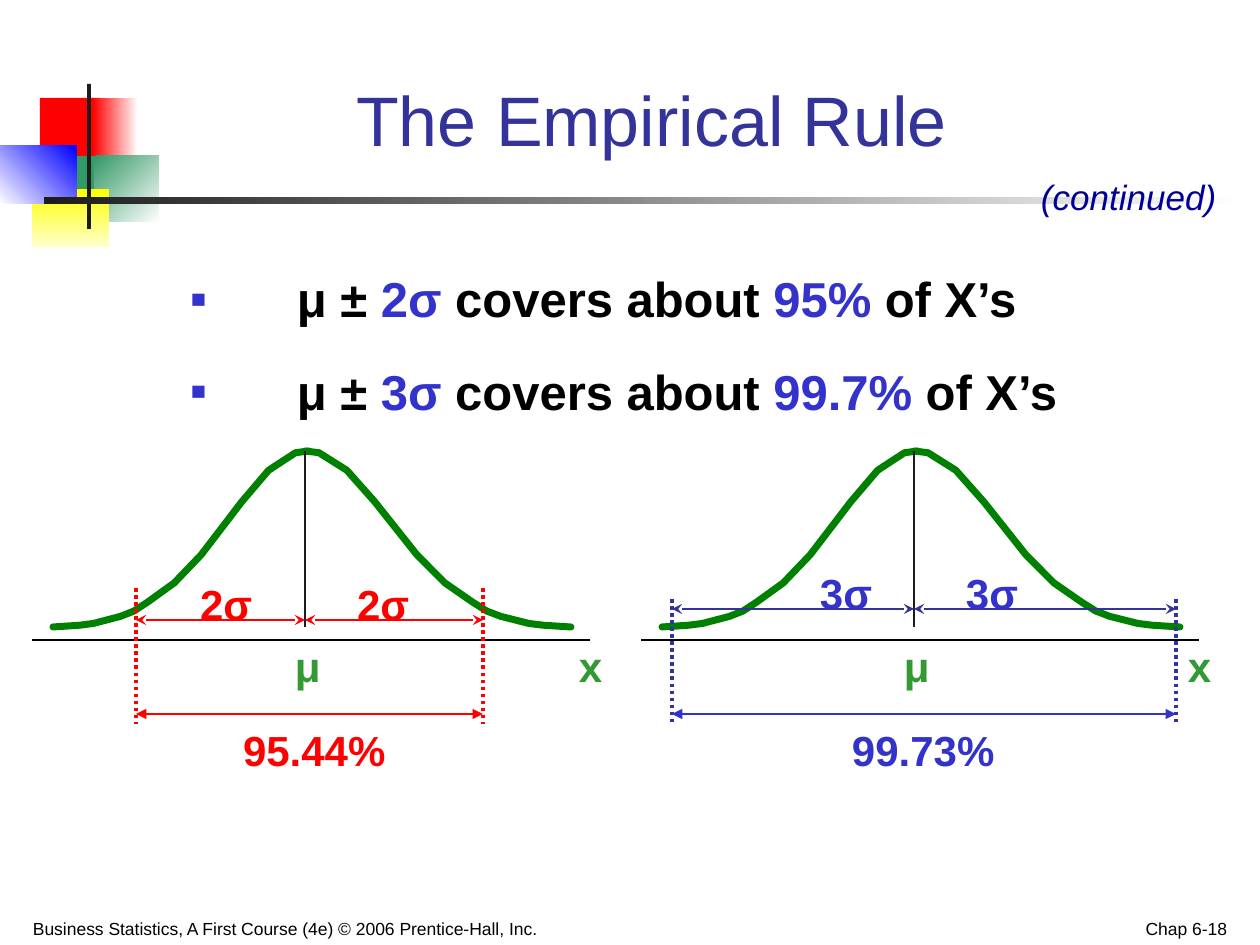
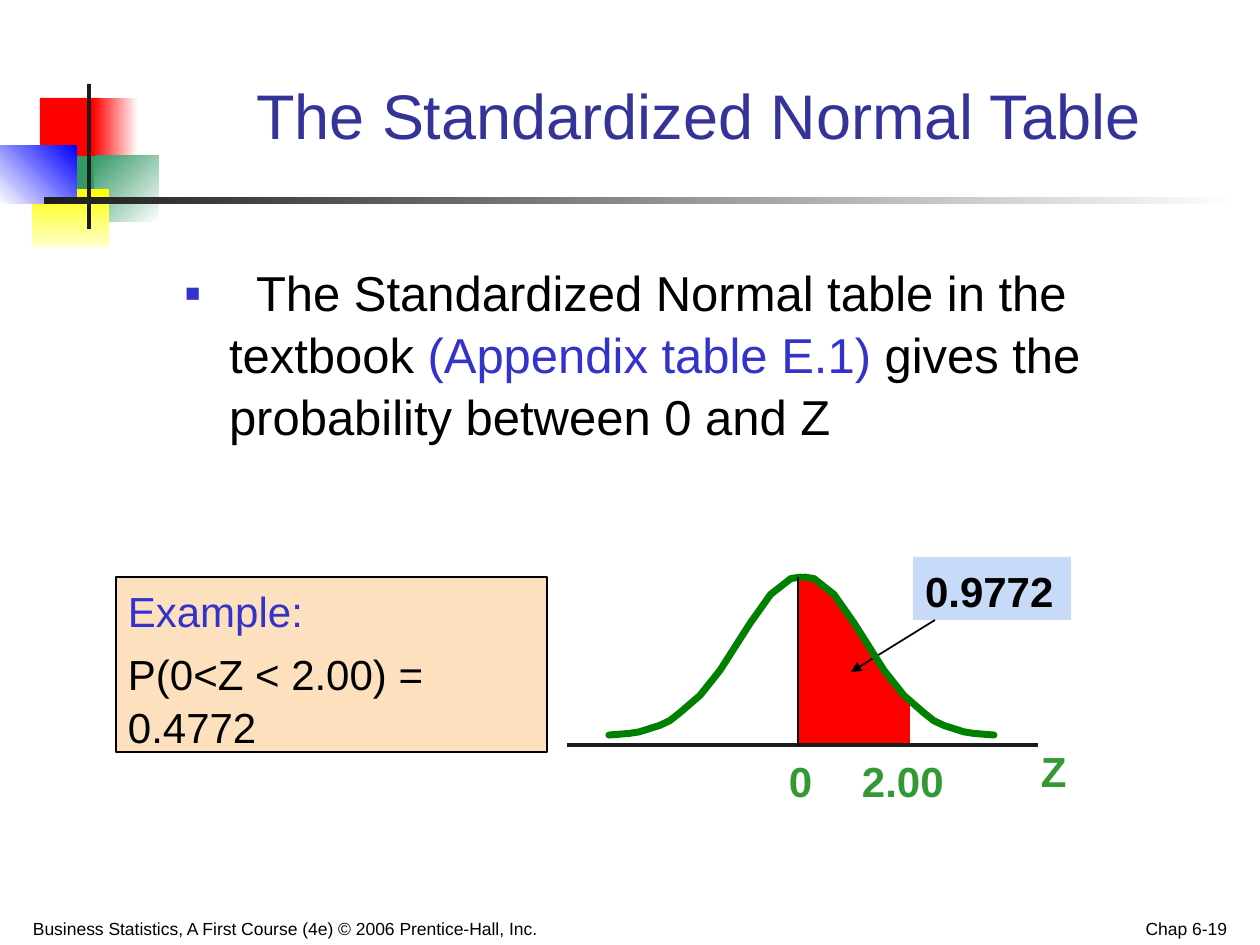
from lxml.etree import SubElement
from pptx import Presentation
from pptx.dml.color import RGBColor
from pptx.enum.dml import MSO_LINE
from pptx.enum.shapes import MSO_CONNECTOR, MSO_SHAPE
from pptx.enum.text import MSO_ANCHOR, MSO_AUTO_SIZE, PP_ALIGN
from pptx.oxml.ns import qn
from pptx.util import Emu, Pt

SCALE = 914400 / 126
FONT = "Arial"
LINE_SPACING = 1.05
BLACK, INK, RED = "000000", "1C1C1C", "FF0000"
TITLE_BLUE, BLUE = "333399", "3333CC"
LABEL_GREEN, CURVE_GREEN = "339933", "008000"

FOOTER = "Business Statistics, A First Course (4e) © 2006 Prentice-Hall, Inc."

# Corner emblem and title rule: left, top, width, height, colours, clockwise angle
EMBLEM = [
    (40, 98, 60, 66, [RED], 0),
    (93, 98, 45, 66, [RED, "FFFFFF"], 0),
    (94, 156, 65, 66, ["339966", "FFFFFF"], 45),
    (54, 156, 40, 66, ["339966"], 0),
    (32, 189, 77, 58, ["FFFF00", "FFFFCC"], 90),
    (0, 146, 77, 58, ["FFFFFF", "0000FF"], 315),
    (87, 84, 4, 145, [INK], 0),
    (44, 197, 1198, 7, [INK, "FFFFFF"], 0),
]

# Half a bell from tail to peak: (steps of 19 across, depth below the peak)
HALF_BELL = [
    (0, 1), (2, 0.99), (3, 0.98), (4, 0.96), (5, 0.94), (6, 0.91), (7, 0.86),
    (9, 0.75), (11, 0.59), (13, 0.39), (14, 0.29), (15, 0.2), (16, 0.11),
    (17, 0.06), (18, 0.01), (19, 0),
]


def px(length):
    return Emu(round(length * SCALE))


def rgb(color):
    return RGBColor.from_string(color)


# Text
def write_spans(para, spans, size, bold=False, italic=False):
    for text, color in spans:
        span = para.add_run()
        span.text = text
        font = span.font
        font.name, font.size = FONT, Pt(size)
        font.bold, font.italic = bold, italic
        font.color.rgb = rgb(color)


def set_frame(box, anchor=MSO_ANCHOR.TOP, side=12):
    frame = box.text_frame
    frame.word_wrap = True
    frame.auto_size = MSO_AUTO_SIZE.NONE
    frame.vertical_anchor = anchor
    frame.margin_left = frame.margin_right = px(side)
    frame.margin_top = frame.margin_bottom = px(6)
    return frame


def fill_frame(frame, paragraphs, size, gap=0, align=PP_ALIGN.LEFT,
               spacing=LINE_SPACING, **style):
    for index, spans in enumerate(paragraphs):
        para = frame.add_paragraph() if index else frame.paragraphs[0]
        para.alignment = align
        para.line_spacing = spacing
        para.space_before = Pt(gap if index else 0)
        write_spans(para, spans, size, **style)


def place(box, left, top, width, height):
    box.left, box.top = px(left), px(top)
    box.width, box.height = px(width), px(height)


def add_text(page, paragraphs, left, top, width, height, size,
             anchor=MSO_ANCHOR.TOP, **style):
    box = page.shapes.add_textbox(px(left), px(top), px(width), px(height))
    fill_frame(set_frame(box, anchor), paragraphs, size, **style)
    return box


def add_label(page, text, left, top, width, color):
    return add_text(page, [[(text, color)]], left, top, width, 63, 24, bold=True)


def set_title(page, text, area, size, spacing):
    title = page.shapes.title
    place(title, *area)
    fill_frame(set_frame(title, MSO_ANCHOR.BOTTOM, 11), [[(text, TITLE_BLUE)]],
               size, align=PP_ALIGN.CENTER, spacing=spacing)


def add_bullet(para, margin, hanging, stops):
    props = para._p.get_or_add_pPr()
    props.set("marL", str(px(margin)))
    props.set("indent", str(-px(hanging)))
    SubElement(SubElement(props, qn("a:buClr")), qn("a:srgbClr"), val=BLUE)
    SubElement(props, qn("a:buChar"), char="▪")
    if stops:
        tabs = SubElement(props, qn("a:tabLst"))
        for stop in stops:
            SubElement(tabs, qn("a:tab"), pos=str(px(stop)), algn="l")


def set_bullets(page, items, area, margin, hanging, stops=(), **style):
    body = page.placeholders[1]
    place(body, *area)
    frame = set_frame(body, side=11)
    fill_frame(frame, items, 28, **style)
    for para in frame.paragraphs:
        add_bullet(para, margin, hanging, stops)


# Shapes and lines
def add_block(page, left, top, width, height, colors, angle):
    block = page.shapes.add_shape(
        MSO_SHAPE.RECTANGLE, px(left), px(top), px(width), px(height))
    block.shadow.inherit = False
    block.line.fill.background()
    if len(colors) == 1:
        block.fill.solid()
        block.fill.fore_color.rgb = rgb(colors[0])
        return
    block.fill.gradient()
    block.fill.gradient_angle = (360 - angle) % 360
    for position, (stop, color) in enumerate(zip(block.fill.gradient_stops, colors)):
        stop.position = position
        stop.color.rgb = rgb(color)


def add_line(page, start, end, color, width, dash=None, head=None, tail=None):
    line = page.shapes.add_connector(
        MSO_CONNECTOR.STRAIGHT, px(start[0]), px(start[1]), px(end[0]), px(end[1]))
    line.line.color.rgb = rgb(color)
    line.line.width = Pt(width)
    if dash:
        line.line.dash_style = dash
    props = line._element.spPr
    outline = props.find(qn("a:ln"))
    for tag, kind in (("a:headEnd", head), ("a:tailEnd", tail)):
        if kind:
            SubElement(outline, qn(tag), type=kind)
    SubElement(props, qn("a:effectLst"))


def add_outline(page, points, close=False):
    (left, top), *rest = [(px(x), px(y)) for x, y in points]
    builder = page.shapes.build_freeform(left, top)
    builder.add_line_segments(rest, close=close)
    outline = builder.convert_to_shape()
    outline.shadow.inherit = False
    return outline


def half_bell(tail, peak, top, height):
    return [(tail + (peak - tail) * step / 19, top + height * depth)
            for step, depth in HALF_BELL]


def add_curve(page, points):
    curve = add_outline(page, points)
    curve.fill.background()
    curve.line.color.rgb = rgb(CURVE_GREEN)
    curve.line.width = Pt(4)
    curve._element.spPr.find(qn("a:ln")).set("cap", "rnd")


# Shared slide frame
def add_page(deck, number):
    page = deck.slides.add_slide(deck.slide_layouts[1])
    for block in EMBLEM:
        add_block(page, *block)
    add_text(page, [[(FOOTER, BLACK)]], 21, 901, 640, 44, 10, MSO_ANCHOR.BOTTOM)
    add_text(page, [[(f"Chap 6-{number}", BLACK)]], 945, 901, 294, 44, 10,
             MSO_ANCHOR.BOTTOM, align=PP_ALIGN.RIGHT)
    return page


# Slide 1: normal curve with a range of sigmas around the mean
def add_sigma_diagram(page, shift, bounds, bound_top, arrow_y, sigma, sigma_lefts,
                      percent, line_color, color):
    mean = 305 + shift
    for tail, peak in ((571, 305), (53, 309)):
        add_curve(page, half_bell(tail + shift, peak + shift, 451, 176))
    add_line(page, (mean, 451), (mean, 627), INK, 1)
    add_line(page, (32 + shift, 640), (590 + shift, 640), BLACK, 1.5)
    add_label(page, "μ", 283 + shift, 632, 53, LABEL_GREEN)
    add_label(page, "x", 567 + shift, 632, 50, LABEL_GREEN)
    for bound in bounds:
        add_line(page, (bound, bound_top), (bound, 724), line_color, 2,
                 dash=MSO_LINE.ROUND_DOT)
    left, right = bounds
    for start, end in ((mean, right), (left, mean)):
        add_line(page, (start, arrow_y), (end, arrow_y), line_color, 1,
                 head="stealth", tail="stealth")
    for sigma_left in sigma_lefts:
        add_label(page, sigma, sigma_left, arrow_y - 50, 80, color)
    add_line(page, (left, 714), (right, 714), color, 1.5,
             head="triangle", tail="triangle")
    add_label(page, percent, 231 + shift, 716, 172, color)


def build_empirical_rule(deck):
    page = add_page(deck, 18)
    set_title(page, "The Empirical Rule", (169, 32, 965, 136), 40, 0.9)
    add_text(page, [[("(continued)", "000099")]], 1029, 167, 210, 55, 20, italic=True)
    rules = [[("μ ± ", BLACK), (sigma, BLUE), (" covers about ", BLACK),
              (share, BLUE), (" of X’s", BLACK)]
             for sigma, share in (("2σ", "95%"), ("3σ", "99.7%"))]
    set_bullets(page, rules, (179, 260, 955, 197), 107, 107, gap=17.5, bold=True)
    add_sigma_diagram(page, 0, (136, 483), 588, 620, "2σ", (188, 345),
                      "95.44%", RED, RED)
    add_sigma_diagram(page, 609, (672, 1176), 599, 609, "3σ", (808, 954),
                      "99.73%", TITLE_BLUE, BLUE)


# Slide 2: area under the standardized normal curve
def build_normal_table(deck):
    page = add_page(deck, 19)
    set_title(page, "The Standardized Normal Table", (210, 42, 977, 116), 36, 1)
    table_note = [("\tThe Standardized Normal table in the textbook ", BLACK),
                  ("(Appendix table E.1)", BLUE),
                  (" gives the probability between 0 and Z", BLACK)]
    # The stop falls 87 px in, whether measured from the text margin or the box
    set_bullets(page, [table_note], (158, 254, 1018, 301), 60, 45, stops=(27, 87))

    zero, limit, axis = 798, 910, 745
    left_half = half_bell(609, 801, 577, 158)
    right_half = half_bell(994, 804, 577, 158)
    under_curve = [point for point in reversed(right_half) if point[0] < limit]
    area = add_outline(page, [(zero, 577), *under_curve, (limit, 701),
                              (limit, axis), (zero, axis)], close=True)
    area.fill.solid()
    area.fill.fore_color.rgb = rgb(RED)
    area.line.fill.background()

    add_curve(page, left_half)
    answer = add_label(page, "0.9772", 913, 557, 158, BLACK)
    answer.fill.solid()
    answer.fill.fore_color.rgb = rgb("C7DAF7")
    add_line(page, (935, 620), (851, 672), BLACK, 1, tail="triangle")
    add_curve(page, right_half)
    add_line(page, (567, axis), (1038, axis), INK, 2)
    add_line(page, (zero, 577), (zero, axis), BLACK, 1)
    for text, left, top, width in (("0", 777, 747, 66), ("2.00", 850, 747, 136),
                                   ("Z", 1029, 737, 52)):
        add_label(page, text, left, top, width, LABEL_GREEN)

    example = add_text(page, [[("Example:", BLUE)],
                              [("P(0<Z < 2.00) = 0.4772", BLACK)]],
                       116, 577, 431, 175, 24, gap=6)
    example.fill.solid()
    example.fill.fore_color.rgb = rgb("FDE0BD")
    example.line.color.rgb = rgb(BLACK)
    example.line.width = Pt(0.75)


def main():
    deck = Presentation()
    deck.slide_width, deck.slide_height = px(1260), px(945)
    build_empirical_rule(deck)
    build_normal_table(deck)
    deck.save("out.pptx")


if __name__ == "__main__":
    main()
